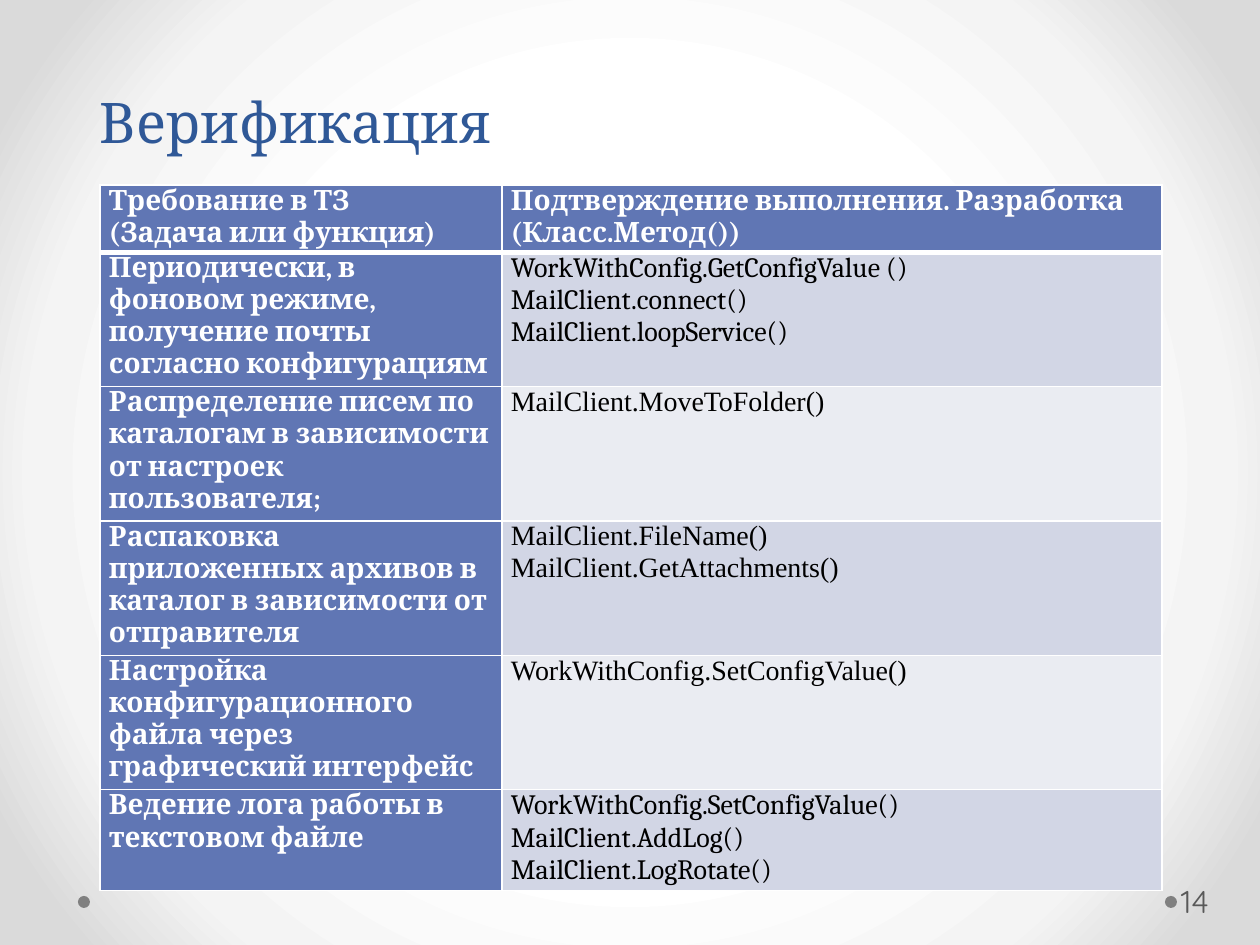
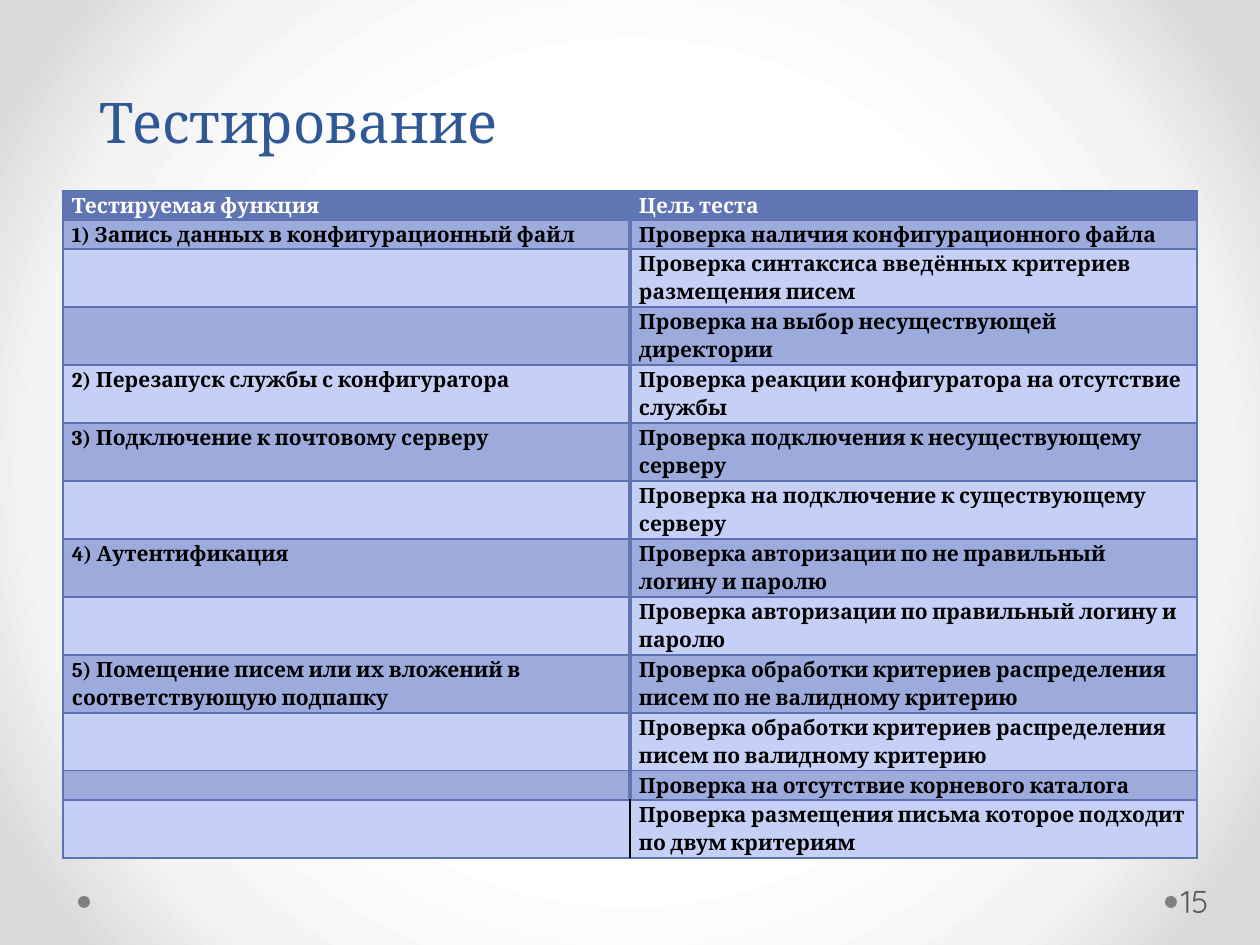
from dataclasses import dataclass

from lxml.etree import SubElement
from pptx import Presentation
from pptx.dml.color import RGBColor
from pptx.enum.shapes import MSO_SHAPE
from pptx.enum.text import MSO_ANCHOR
from pptx.oxml import parse_xml
from pptx.oxml.ns import nsdecls, qn
from pptx.slide import Slide
from pptx.table import _Cell
from pptx.text.text import TextFrame
from pptx.util import Emu, Pt

PX_PER_INCH = 126
SLIDE_WIDTH, SLIDE_HEIGHT = 1260, 945
SERIF, TIMES, NUMBER_FONT = "Cambria", "Times New Roman", "Quicksand"
WHITE, BLACK = "FFFFFF", "000000"
TITLE_BLUE, ACCENT, RULE_BLUE = "2F5897", "6076B4", "5C72B2"
NUMBER_GREY, DOT_GREY = "595959", "808080"
VERIFICATION_BANDS = ("D2D6E5", "EAECF2")
TEST_BANDS = ("9DABDC", "C6CFF6")
BACKGROUND_STOPS = ((50, "FFFFFF"), (76, "F4F4F4"), (92, "DADADA"))
DOT_LEFTS, DOT_TOP, DOT_SIZE = (78, 1165), 896, 12


@dataclass(frozen=True)
class Box:
    left: int
    top: int
    width: int
    height: int


@dataclass(frozen=True)
class TextStyle:
    size: int
    color: str
    font: str = SERIF
    bold: bool = False
    spacing: float = 1.0


@dataclass(frozen=True)
class Border:
    color: str
    points: float


@dataclass(frozen=True)
class CellLook:
    text: TextStyle
    fill: str
    left: Border
    right: Border
    top: Border
    bottom: Border


@dataclass(frozen=True)
class CellContent:
    lines: tuple[str, ...]
    look: CellLook


@dataclass(frozen=True)
class Requirement:
    task: str
    methods: tuple[str, ...]
    height: int
    font: str


@dataclass(frozen=True)
class TestCase:
    feature: str
    goal: str
    height: int = 55


TITLE_BOX = Box(87, 16, 940, 145)
NUMBER_BOX = Box(1177, 876, 77, 50)
TITLE_STYLE = TextStyle(32, TITLE_BLUE)
NUMBER_STYLE = TextStyle(18, NUMBER_GREY, NUMBER_FONT)
TASK_STYLE = TextStyle(16, WHITE, bold=True)
TEST_HEADER_STYLE = TextStyle(12, WHITE, bold=True, spacing=1.15)
TEST_STYLE = TextStyle(12, BLACK, bold=True, spacing=1.15)

WHITE_RULE = Border(WHITE, 1)
HEADER_RULE = Border(WHITE, 3)
THIN_RULE = Border(RULE_BLUE, 0.75)
MIDDLE_RULE = Border(ACCENT, 2.25)
BLACK_RULE = Border(BLACK, 1)

REQUIREMENTS = (
    Requirement(
        "Периодически, в фоновом режиме, получение почты согласно конфигурациям",
        ("WorkWithConfig.GetConfigValue ()", "MailClient.connect()", "MailClient.loopService()"),
        126, SERIF),
    Requirement(
        "Распределение писем по каталогам в зависимости от настроек пользователя;",
        ("MailClient.MoveToFolder()",), 126, TIMES),
    Requirement(
        "Распаковка приложенных архивов в каталог в зависимости от отправителя",
        ("MailClient.FileName()", "MailClient.GetAttachments()"), 127, TIMES),
    Requirement(
        "Настройка конфигурационного файла через графический интерфейс",
        ("WorkWithConfig.SetConfigValue()",), 127, TIMES),
    Requirement(
        "Ведение лога работы в текстовом файле",
        ("WorkWithConfig.SetConfigValue()", "MailClient.AddLog()", "MailClient.LogRotate()"),
        95, SERIF),
)

TEST_CASES = (
    TestCase("1) Запись данных в конфигурационный файл",
             "Проверка наличия конфигурационного файла", 27),
    TestCase("", "Проверка синтаксиса введённых критериев размещения писем"),
    TestCase("", "Проверка на выбор несуществующей директории"),
    TestCase("2) Перезапуск службы с конфигуратора",
             "Проверка реакции конфигуратора на отсутствие службы"),
    TestCase("3) Подключение к почтовому серверу",
             "Проверка подключения к несуществующему серверу"),
    TestCase("", "Проверка на подключение к существующему серверу"),
    TestCase("4) Аутентификация",
             "Проверка авторизации по не правильный логину и паролю"),
    TestCase("", "Проверка авторизации по правильный логину и паролю"),
    TestCase("5) Помещение писем или их вложений в соответствующую подпапку",
             "Проверка обработки критериев распределения писем по не валидному критерию"),
    TestCase("", "Проверка обработки критериев распределения писем по валидному критерию"),
    TestCase("", "Проверка на отсутствие корневого каталога", 27),
    TestCase("", "Проверка размещения письма которое подходит по двум критериям"),
)


def px(length: int) -> Emu:
    return Emu(round(length * 914400 / PX_PER_INCH))


def rgb(color: str) -> RGBColor:
    return RGBColor.from_string(color)


def place(box: Box) -> tuple[Emu, Emu, Emu, Emu]:
    return px(box.left), px(box.top), px(box.width), px(box.height)


def write(frame: TextFrame, lines: tuple[str, ...], style: TextStyle) -> None:
    frame.word_wrap = True
    frame.text = "\n".join(lines)
    for para in frame.paragraphs:
        para.line_spacing = style.spacing
        para.font.size = Pt(style.size)
        para.font.name = style.font
        para.font.bold = style.bold
        para.font.color.rgb = rgb(style.color)
        if not para.runs:
            SubElement(para._p, qn("a:endParaRPr"), sz=str(style.size * 100))


def add_text(page: Slide, box: Box, text: str, style: TextStyle, anchor: MSO_ANCHOR) -> TextFrame:
    frame = page.shapes.add_textbox(*place(box)).text_frame
    frame.vertical_anchor = anchor
    write(frame, (text,), style)
    return frame


def paint_background(page: Slide) -> None:
    stops = "".join(
        f'<a:gs pos="{percent * 1000}"><a:srgbClr val="{color}"/></a:gs>'
        for percent, color in BACKGROUND_STOPS)
    page.element.cSld.insert(0, parse_xml(
        f'<p:bg {nsdecls("p", "a")}><p:bgPr><a:gradFill rotWithShape="1">'
        f'<a:gsLst>{stops}</a:gsLst><a:path path="circle">'
        '<a:fillToRect l="50000" t="50000" r="50000" b="50000"/></a:path>'
        '</a:gradFill><a:effectLst/></p:bgPr></p:bg>'))


def add_page(deck: Presentation, title: str, number: int) -> Slide:
    page = deck.slides.add_slide(deck.slide_layouts[6])
    paint_background(page)
    for left in DOT_LEFTS:
        dot = page.shapes.add_shape(
            MSO_SHAPE.OVAL, *place(Box(left, DOT_TOP, DOT_SIZE, DOT_SIZE)))
        dot.shadow.inherit = False
        dot.fill.solid()
        dot.fill.fore_color.rgb = rgb(DOT_GREY)
        dot.line.fill.background()
    add_text(page, TITLE_BOX, title, TITLE_STYLE, MSO_ANCHOR.BOTTOM)
    frame = add_text(page, NUMBER_BOX, str(number), NUMBER_STYLE, MSO_ANCHOR.MIDDLE)
    frame.margin_left = px(4)
    frame.margin_right = px(6)
    return page


def draw_borders(cell: _Cell, look: CellLook) -> None:
    properties = cell._tc.get_or_add_tcPr()
    sides = (("L", look.left), ("R", look.right), ("T", look.top), ("B", look.bottom))
    for index, (side, border) in enumerate(sides):
        properties.insert(index, parse_xml(
            f'<a:ln{side} {nsdecls("a")} w="{Pt(border.points)}"><a:solidFill>'
            f'<a:srgbClr val="{border.color}"/></a:solidFill></a:ln{side}>'))


def fill_cell(cell: _Cell, content: CellContent) -> None:
    cell.margin_left = cell.margin_right = px(9)
    cell.margin_top = cell.margin_bottom = 0
    write(cell.text_frame, content.lines, content.look.text)
    cell.fill.solid()
    cell.fill.fore_color.rgb = rgb(content.look.fill)
    draw_borders(cell, content.look)


def add_grid(page: Slide, left: int, top: int, widths: tuple[int, ...],
             heights: list[int], rows: list[tuple[CellContent, ...]]) -> None:
    box = Box(left, top, sum(widths), sum(heights))
    table = page.shapes.add_table(len(rows), len(widths), *place(box)).table
    table.first_row = table.horz_banding = False
    for column, width in zip(table.columns, widths):
        column.width = px(width)
    for row, height, contents in zip(table.rows, heights, rows):
        row.height = px(height)
        for cell, content in zip(row.cells, contents):
            fill_cell(cell, content)


def white_ruled(style: TextStyle, fill: str, top: Border = WHITE_RULE,
                bottom: Border = WHITE_RULE) -> CellLook:
    return CellLook(style, fill, WHITE_RULE, WHITE_RULE, top, bottom)


def add_verification(page: Slide) -> None:
    header = white_ruled(TASK_STYLE, ACCENT, bottom=HEADER_RULE)
    rows = [(
        CellContent(("Требование в ТЗ", "(Задача или функция)"), header),
        CellContent(("Подтверждение выполнения. Разработка", "(Класс.Метод())"), header),
    )]
    for index, requirement in enumerate(REQUIREMENTS):
        top = WHITE_RULE if index else HEADER_RULE
        method_style = TextStyle(16, BLACK, requirement.font)
        rows.append((
            CellContent((requirement.task,), white_ruled(TASK_STYLE, ACCENT, top)),
            CellContent(requirement.methods,
                        white_ruled(method_style, VERIFICATION_BANDS[index % 2], top)),
        ))
    heights = [63] + [requirement.height for requirement in REQUIREMENTS]
    add_grid(page, 100, 185, (402, 660), heights, rows)


def test_row(texts: tuple[str, str], style: TextStyle, fill: str,
             middle: Border) -> tuple[CellContent, ...]:
    edges = ((THIN_RULE, middle), (middle, THIN_RULE))
    return tuple(
        CellContent((text,), CellLook(style, fill, left, right, THIN_RULE, THIN_RULE))
        for text, (left, right) in zip(texts, edges))


def add_testing(page: Slide) -> None:
    rows = [test_row(("Тестируемая функция", "Цель теста"),
                     TEST_HEADER_STYLE, ACCENT, MIDDLE_RULE)]
    for index, case in enumerate(TEST_CASES):
        middle = BLACK_RULE if case is TEST_CASES[-1] else MIDDLE_RULE
        rows.append(test_row((case.feature, case.goal), TEST_STYLE,
                             TEST_BANDS[index % 2], middle))
    heights = [27] + [case.height for case in TEST_CASES]
    add_grid(page, 63, 191, (567, 567), heights, rows)


def main() -> None:
    deck = Presentation()
    deck.slide_width, deck.slide_height = px(SLIDE_WIDTH), px(SLIDE_HEIGHT)
    add_verification(add_page(deck, "Верификация", 14))
    add_testing(add_page(deck, "Тестирование", 15))
    deck.save("out.pptx")


if __name__ == "__main__":
    main()
